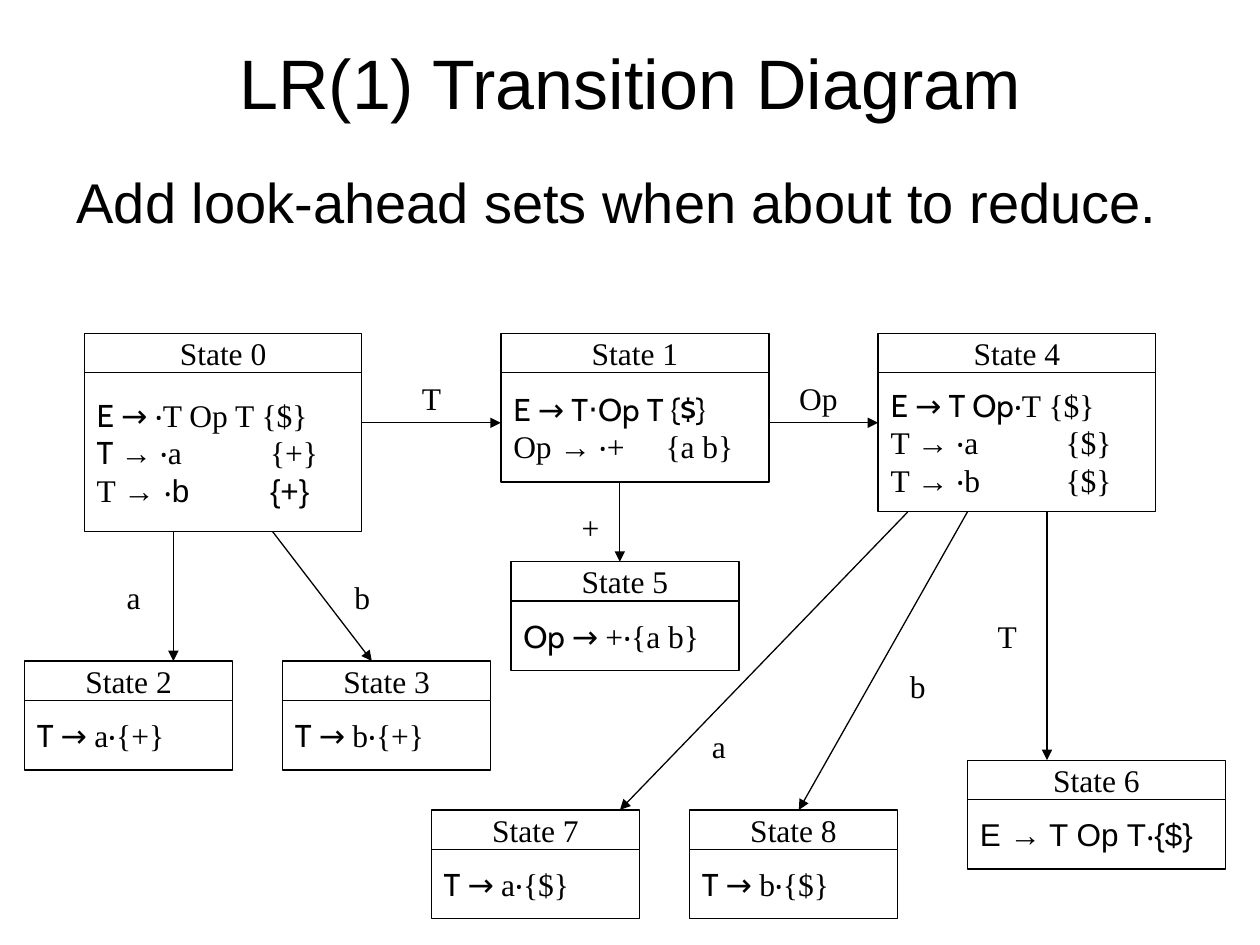
from lxml import etree
from pptx import Presentation
from pptx.dml.color import RGBColor
from pptx.enum.shapes import MSO_CONNECTOR, MSO_SHAPE
from pptx.enum.text import MSO_ANCHOR, PP_ALIGN
from pptx.oxml.ns import qn
from pptx.util import Pt

BLACK = RGBColor(0x00, 0x00, 0x00)
WHITE = RGBColor(0xFF, 0xFF, 0xFF)
LEFT, CENTER = PP_ALIGN.LEFT, PP_ALIGN.CENTER
TOP, MIDDLE = MSO_ANCHOR.TOP, MSO_ANCHOR.MIDDLE
RECTANGLE, STRAIGHT = MSO_SHAPE.RECTANGLE, MSO_CONNECTOR.STRAIGHT
ARIAL, CABIN, TIMES = "Arial", "Cabin", "Times New Roman"
HEADER_HEIGHT = 22.5
LABEL_WIDTH, LABEL_HEIGHT = 22.8, 17.2

# Rows of boxes
UPPER, MIDDLE_ROW, LOWER = 190.5, 377.8, 462.8

# Number, left, top, width, body height, tab stop, lines of (text, font) runs
STATES = [
    (0, 48.2, UPPER, 158.6, 90.8, 99, [
        [("E → ", CABIN), ("‧T Op T {$}", TIMES)],
        [("T ", CABIN), ("→ ‧a\t{+}", TIMES)],
        [("T ", TIMES), ("→ ‧b\t{+}", ARIAL)]]),
    (1, 286.2, UPPER, 153.2, 62.5, 87, [
        [("E → T‧Op T {$}", CABIN)],
        [("Op → ‧+\t{a b}", TIMES)]]),
    (4, 501.8, UPPER, 158.6, 79.5, 100, [
        [("E → T Op", CABIN), ("‧T {$}", TIMES)],
        [("T → ‧a\t{$}", TIMES)],
        [("T → ‧b\t{$}", TIMES)]]),
    (6, 552.8, 434.4, 147.5, 39.8, None, [[("E → T Op T‧{$}", ARIAL)]]),
    (2, 14, MIDDLE_ROW, 119, 39.8, None, [[("T → ", CABIN), ("a‧{+}", TIMES)]]),
    (3, 161.5, MIDDLE_ROW, 119, 39.8, None, [[("T → ", CABIN), ("b‧{+}", TIMES)]]),
    (5, 292, 321, 130.4, 39.8, None, [[("Op → ", CABIN), ("+‧{a b}", TIMES)]]),
    (7, 246.5, LOWER, 119, 39.8, None, [[("T → ", CABIN), ("a‧{$}", TIMES)]]),
    (8, 394, LOWER, 119, 39.8, None, [[("T → ", CABIN), ("b‧{$}", TIMES)]]),
]

# Start x, start y, end x, end y, symbol, label left, label top
TRANSITIONS = [
    (206.8, 241.6, 286.2, 241.6, "T", 235.2, 219),
    (439.4, 241.6, 501.8, 241.6, "Op", 456.3, 219),
    (598.3, 292.8, 598.3, 434.4, "T", 564.2, 355),
    (354.2, 275.7, 354.2, 321, "+", 326, 292.5),
    (99.1, 303.8, 99.1, MIDDLE_ROW, "a", 65, 332.5),
    (155.8, 303.8, 212.5, MIDDLE_ROW, "b", 195.6, 332.5),
    (518.7, 292.6, 354.3, LOWER, "a", 399.5, 417.5),
    (552.8, 292.6, 456.5, LOWER, "b", 513, 383.3),
]


class Diagram:
    """Holds the style and the current slide."""

    def __init__(self, slide, size=18, line_width=0.75):
        self.slide = slide
        self.size = size
        self.line_width = line_width

    def format_run(self, run, font_name, size):
        run.font.name = font_name
        run.font.size = Pt(size)
        run.font.color.rgb = BLACK

    def text_box(self, left, top, width, height, text, size, align, anchor):
        shape = self.slide.shapes.add_textbox(Pt(left), Pt(top), Pt(width), Pt(height))
        frame = shape.text_frame
        frame.word_wrap = True
        frame.vertical_anchor = anchor
        frame.text = text
        frame.paragraphs[0].alignment = align
        self.format_run(frame.paragraphs[0].runs[0], ARIAL, size)
        return shape

    def rectangle(self, left, top, width, height, lines, line_color=BLACK,
                  align=CENTER, wrap=False, tab_stop=None):
        shape = self.slide.shapes.add_shape(
            RECTANGLE, Pt(left), Pt(top), Pt(width), Pt(height))
        shape.shadow.inherit = False
        shape.fill.solid()
        shape.fill.fore_color.rgb = WHITE
        shape.line.color.rgb = line_color
        shape.line.width = Pt(self.line_width)
        frame = shape.text_frame
        frame.word_wrap = wrap
        frame.vertical_anchor = MIDDLE
        for index, runs in enumerate(lines):
            paragraph = frame.add_paragraph() if index else frame.paragraphs[0]
            paragraph.alignment = align
            if tab_stop:
                tabs = etree.SubElement(paragraph._p.get_or_add_pPr(), qn("a:tabLst"))
                etree.SubElement(tabs, qn("a:tab"), pos=str(Pt(tab_stop)), algn="l")
            for text, font_name in runs:
                run = paragraph.add_run()
                run.text = text
                self.format_run(run, font_name, self.size)

    def state(self, number, left, top, width, body_height, tab_stop, lines):
        self.rectangle(left, top, width, HEADER_HEIGHT, [[(f"State {number}", TIMES)]])
        self.rectangle(left, top + HEADER_HEIGHT, width, body_height, lines,
                       align=LEFT, wrap=True, tab_stop=tab_stop)

    def label(self, left, top, text):
        self.rectangle(left, top, LABEL_WIDTH, LABEL_HEIGHT, [[(text, TIMES)]], WHITE)

    def arrow(self, start_x, start_y, end_x, end_y):
        connector = self.slide.shapes.add_connector(
            STRAIGHT, Pt(start_x), Pt(start_y), Pt(end_x), Pt(end_y))
        connector.line.color.rgb = BLACK
        connector.line.width = Pt(self.line_width)
        etree.SubElement(connector.line._get_or_add_ln(), qn("a:tailEnd"), type="triangle")
        etree.SubElement(connector._element.spPr, qn("a:effectLst"))


def main():
    presentation = Presentation()
    presentation.slide_width, presentation.slide_height = Pt(720), Pt(540)
    slide = presentation.slides.add_slide(presentation.slide_layouts[6])
    diagram = Diagram(slide)

    # Title and statement
    diagram.text_box(36, 21.6, 648, 50.4, "LR(1) Transition Diagram", 40, CENTER, MIDDLE)
    statement = diagram.text_box(36.7, 88.6, 648, 104.4,
                                 "Add look-ahead sets when about to reduce.", 32, LEFT, TOP)
    statement.text_frame.margin_top = Pt(7.2)

    # States
    for state in STATES:
        diagram.state(*state)

    # Transitions with their symbols
    for *ends, symbol, label_left, label_top in TRANSITIONS:
        diagram.arrow(*ends)
        diagram.label(label_left, label_top, symbol)

    presentation.save("out.pptx")


if __name__ == "__main__":
    main()
